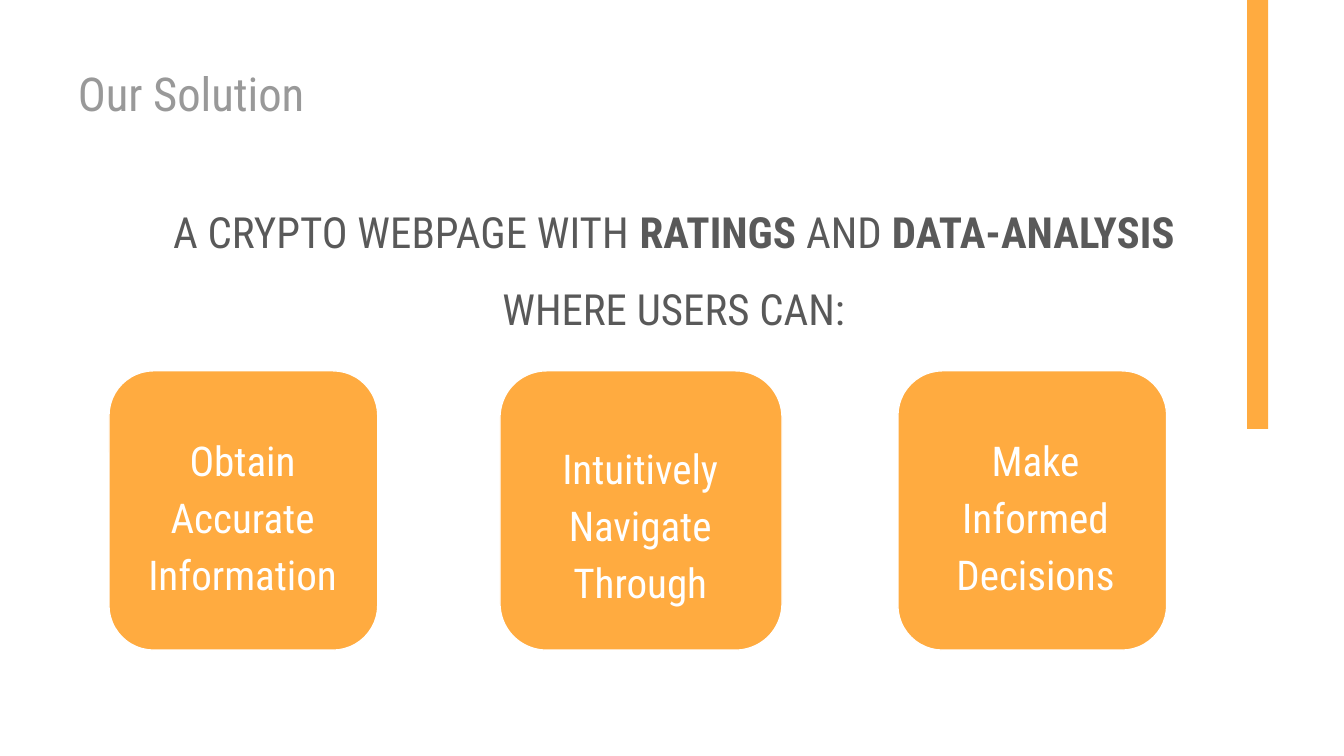
from pptx import Presentation, util as u
from pptx.dml.color import RGBColor
from pptx.enum import shapes, text as t

ORANGE, WHITE, GREY, DARK = "FFAB40", "FFFFFF", "999999", "595959"
FONT = "Roboto Condensed"


def rgb(hex_value):
    return RGBColor.from_string(hex_value)


def write(sp, text, size, color, align=t.PP_ALIGN.CENTER, spacing=1.15, indent=0):
    """Fill a shape with one paragraph; parts between asterisks are bold."""
    tf = sp.text_frame
    tf.word_wrap = True
    tf.auto_size = t.MSO_AUTO_SIZE.SHAPE_TO_FIT_TEXT
    tf.vertical_anchor = t.MSO_ANCHOR.TOP
    tf.margin_left = tf.margin_right = tf.margin_top = tf.margin_bottom = u.Cm(0.25)
    p = tf.paragraphs[0]
    p.alignment = align
    p.line_spacing = spacing
    pPr = p._p.get_or_add_pPr()
    pPr.set("marL", str(u.Cm(indent)))
    pPr.set("indent", "0")
    for i, part in enumerate(text.split("*")):
        if part:
            r = p.add_run()
            r.text = part
            r.font.name = FONT
            r.font.size = u.Pt(size)
            r.font.bold = i % 2 == 1
            r.font.color.rgb = rgb(color)


prs = Presentation()
prs.slide_width, prs.slide_height = u.Cm(25.4), u.Cm(14.29)
s = prs.slides.add_slide(prs.slide_layouts[5])
s.background.fill.solid()
s.background.fill.fore_color.rgb = rgb(WHITE)

# Accent bar
bar = s.shapes.add_shape(shapes.MSO_SHAPE.RECTANGLE,
                         u.Cm(23.57), u.Cm(-0.03), u.Cm(0.4), u.Cm(8.14))
bar.shadow.inherit = False
bar.fill.solid()
bar.fill.fore_color.rgb = rgb(ORANGE)
bar.line.fill.background()

# Title
title = s.shapes.title
title.left, title.top, title.width, title.height = u.Cm(1.22), u.Cm(0.81), u.Cm(5.08), u.Cm(1.57)
write(title, "Our Solution", 25, GREY, align=t.PP_ALIGN.LEFT)

# Cards: left, width, then label left, top, width
cards = [
    ("Obtain Accurate Information", 2.06, 5.08, 2.31, 7.85, 4.55),
    ("Intuitively Navigate Through", 9.45, 5.33, 9.7, 8, 4.8),
    ("Make Informed Decisions", 16.97, 5.08, 17.17, 7.85, 4.8),
]
for label, left, width, label_left, label_top, label_width in cards:
    card = s.shapes.add_shape(shapes.MSO_SHAPE.FLOWCHART_ALTERNATE_PROCESS,
                              u.Cm(left), u.Cm(7.01), u.Cm(width), u.Cm(5.28))
    card.shadow.inherit = False
    card.fill.solid()
    card.fill.fore_color.rgb = rgb(ORANGE)
    card.line.color.rgb = rgb(WHITE)
    card.line.width = u.Pt(0.75)
    box = s.shapes.add_textbox(u.Cm(label_left), u.Cm(label_top), u.Cm(label_width), u.Cm(3.61))
    write(box, label, 22, WHITE)

# Lead sentence
lead = s.shapes.add_textbox(u.Cm(1.5), u.Cm(3.15), u.Cm(21.21), u.Cm(2.97))
write(lead, "A CRYPTO WEBPAGE WITH *RATINGS* AND *DATA-ANALYSIS* WHERE USERS CAN:",
      23, DARK, spacing=1.5, indent=1.27)

prs.save("out.pptx")
